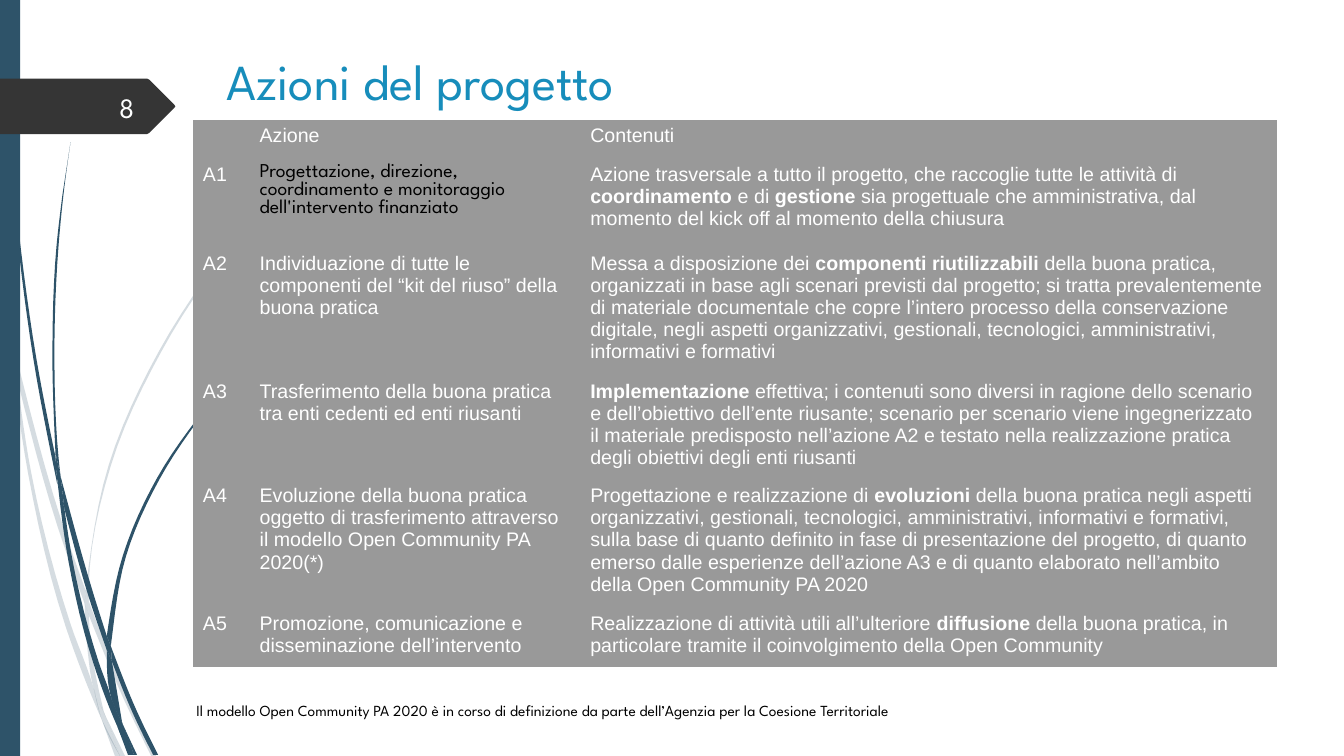
import math

from lxml import etree
from pptx import Presentation
from pptx.dml.color import RGBColor
from pptx.enum.shapes import MSO_SHAPE
from pptx.enum.text import MSO_ANCHOR, PP_ALIGN
from pptx.oxml.ns import qn
from pptx.util import Pt

RECTANGLE = MSO_SHAPE.RECTANGLE
TOP, MIDDLE = MSO_ANCHOR.TOP, MSO_ANCHOR.MIDDLE
LEFT, RIGHT = PP_ALIGN.LEFT, PP_ALIGN.RIGHT
PLAIN_TABLE = "{2D5ABB26-0587-4C30-8999-92F81FD0307C}"

TITLE = "Azioni del progetto"
NUMBER = "8"
FOOTNOTE = ("Il modello Open Community PA 2020 è in corso di definizione da parte "
            "dell’Agenzia per la Coesione Territoriale")

# Code, action and contents; ** marks the limits of bold words.
ACTIONS = [
    ("", "Azione", "Contenuti"),
    ("A1", "Progettazione, direzione, coordinamento e monitoraggio dell'intervento finanziato",
     "Azione trasversale a tutto il progetto, che raccoglie tutte le attività di "
     "**coordinamento** e di **gestione** sia progettuale che amministrativa, dal momento "
     "del kick off al momento della chiusura"),
    ("A2", "Individuazione di tutte le componenti del “kit del riuso” della buona pratica",
     "Messa a disposizione dei **componenti riutilizzabili **della buona pratica, organizzati "
     "in base agli scenari previsti dal progetto; si tratta prevalentemente di materiale "
     "documentale che copre l’intero processo della conservazione digitale, negli aspetti "
     "organizzativi, gestionali, tecnologici, amministrativi, informativi e formativi"),
    ("A3", "Trasferimento della buona pratica tra enti cedenti ed enti riusanti",
     "**Implementazione** effettiva; i contenuti sono diversi in ragione dello scenario e "
     "dell’obiettivo dell’ente riusante; scenario per scenario viene ingegnerizzato il "
     "materiale predisposto nell’azione A2 e testato nella realizzazione pratica degli "
     "obiettivi degli enti riusanti"),
    ("A4", "Evoluzione della buona pratica oggetto di trasferimento attraverso il modello "
     "Open Community PA 2020(*)",
     "Progettazione e realizzazione di **evoluzioni** della buona pratica negli aspetti "
     "organizzativi, gestionali, tecnologici, amministrativi, informativi e formativi, sulla "
     "base di quanto definito in fase di presentazione del progetto, di quanto emerso dalle "
     "esperienze dell’azione A3 e di quanto elaborato nell’ambito della Open Community PA 2020"),
    ("A5", "Promozione, comunicazione e disseminazione dell’intervento",
     "Realizzazione di attività utili all’ulteriore **diffusione** della buona pratica, in "
     "particolare tramite il coinvolgimento della Open Community"),
]
HIGHLIGHTED = ACTIONS[1][1]
COLUMN_WIDTHS = (40.5, 236.2, 497.8)
ROW_HEIGHTS = (27.4, 64.1, 85.7, 69.8, 85.7, 42.5)

THEME = {
    "display": "League Spartan", "body": "Arial",
    "title": "178DBB", "stem": "2E5369", "tag": "353535", "table": "999999",
    "light": "FFFFFF", "number": "FEFFFF", "dark": "000000",
    "title_size": 36, "number_size": 20, "table_size": 14, "note_size": 11,
    "pale_alpha": 20000,
}

# Each blade of grass has two edges, on a grid of GRID points.
GRID = 0.72
PALE_BLADES = [
    ([(17, 376), (57, 522), (84, 599)], [(85, 586), (62, 520), (14, 345)]),
    ([(88, 610), (123, 694), (150, 750)], [(155, 750), (127, 692), (92, 607), (88, 596)]),
    ([(119, 750), (124, 750)], [(105, 711)]),
    ([(11, 350), (28, 470), (65, 621), (92, 693), (101, 714)],
     [(99, 707), (93, 683), (70, 619), (31, 469), (17, 376)]),
    ([(84, 599), (87, 646), (93, 683), (105, 711)], [(103, 706), (91, 646), (88, 610)]),
    ([(85, 586), (108, 461), (158, 348), (228, 244), (268, 197), (312, 153)],
     [(268, 198), (229, 245), (160, 349), (110, 462), (88, 584), (88, 596)]),
    ([(101, 714), (114, 750)], [(119, 750)]),
    ([(88, 610), (88, 596)], [(85, 586), (84, 599)]),
    ([(93, 683), (101, 714), (119, 750)], [(105, 711), (96, 692)]),
]
DARK_BLADES = [
    ([(3, 0), (7, 110), (17, 233), (33, 355), (57, 481)],
     [(55, 453), (36, 355), (19, 232), (8, 109), (4, 0)]),
    ([(64, 505), (88, 592), (106, 645)], [(106, 631), (93, 590), (60, 472)]),
    ([(111, 656), (132, 708), (152, 749)], [(157, 749), (136, 706), (113, 649), (110, 641)]),
    ([(57, 477), (68, 557), (93, 659), (111, 708), (117, 722)],
     [(116, 717), (110, 691), (98, 657), (72, 556), (64, 505)]),
    ([(60, 472), (58, 453), (54, 349), (58, 245), (63, 193), (70, 141)],
     [(62, 193), (56, 245), (52, 349), (55, 449)]),
    ([(133, 749), (136, 749)], [(122, 719)]),
    ([(55, 449), (57, 477), (64, 505)], [(60, 472)]),
    ([(106, 631), (122, 551), (156, 474), (204, 405), (231, 373), (260, 344)],
     [(231, 374), (205, 406), (158, 476), (125, 552), (111, 633), (110, 641)]),
    ([(117, 722), (127, 749)], [(131, 749)]),
    ([(106, 645), (110, 691), (122, 719)], [(121, 716), (111, 656)]),
    ([(106, 645), (111, 656)], [(110, 641), (106, 631)]),
    ([(110, 691), (117, 722), (130, 749)], [(133, 749), (122, 719), (116, 706)]),
]
TAG_OUTLINE = [(0, 78), (146, 78), (148, 79), (173, 104), (174, 105.5), (173, 107),
               (148, 132), (146, 133), (0, 133)]


def smooth(edge, steps=6):
    """Return points on a curve that passes through every point of the edge."""
    if len(edge) < 3:
        return edge
    pairs = list(zip(edge, edge[1:]))
    lengths = [math.dist(a, b) for a, b in pairs]
    chords = [[(b[k] - a[k]) / length for k in (0, 1)] for (a, b), length in zip(pairs, lengths)]
    slopes = [[(c[k] * n + d[k] * m) / (m + n) for k in (0, 1)]
              for c, d, m, n in zip(chords, chords[1:], lengths, lengths[1:])]
    first, final = ([1.5 * chords[i][k] - 0.5 * slopes[i][k] for k in (0, 1)] for i in (0, -1))
    slopes = [first, *slopes, final]
    curve = []
    for i, ((a, b), length) in enumerate(zip(pairs, lengths)):
        for t in (step / steps for step in range(steps)):
            ease = t * t * (3 - 2 * t)
            lead, trail = t * (1 - t) ** 2 * length, t * t * (t - 1) * length
            curve.append([a[k] + (b[k] - a[k]) * ease
                          + slopes[i][k] * lead + slopes[i + 1][k] * trail for k in (0, 1)])
    return curve + [edge[-1]]


def paint(shape, color, alpha=None):
    shape.shadow.inherit = False
    shape.fill.solid()
    shape.fill.fore_color.rgb = RGBColor.from_string(color)
    shape.line.fill.background()
    if alpha:
        for rgb in shape.element.iter(qn("a:srgbClr")):
            etree.SubElement(rgb, qn("a:alpha"), val=str(alpha))


def add_outline(slide, outline, color, alpha=None):
    points = [(Pt(x * GRID), Pt(y * GRID)) for x, y in outline]
    builder = slide.shapes.build_freeform(*points[0])
    builder.add_line_segments(points[1:], close=True)
    paint(builder.convert_to_shape(), color, alpha)


def add_run(paragraph, text, size, font, color, bold=False):
    run = paragraph.add_run()
    run.text = text
    run.font.size, run.font.name, run.font.bold = Pt(size), font, bold
    run.font.color.rgb = RGBColor.from_string(color)


def add_label(slide, box, text, size, color, anchor=TOP, align=LEFT, wrap=True):
    frame = slide.shapes.add_textbox(*map(Pt, box)).text_frame
    frame.word_wrap, frame.vertical_anchor = wrap, anchor
    frame.paragraphs[0].alignment = align
    add_run(frame.paragraphs[0], text, size, THEME["display"], color)


def fill_cell(cell, text):
    cell.fill.solid()
    cell.fill.fore_color.rgb = RGBColor.from_string(THEME["table"])
    font, color = ((THEME["display"], THEME["dark"]) if text == HIGHLIGHTED
                   else (THEME["body"], THEME["light"]))
    paragraph, size = cell.text_frame.paragraphs[0], THEME["table_size"]
    for i, part in enumerate(text.split("**")):
        if part:
            add_run(paragraph, part, size, font, color, bold=i % 2 == 1)
    # The paragraph end keeps the row from growing to the default type size.
    ending = etree.SubElement(paragraph._p, qn("a:endParaRPr"), sz=str(size * 100))
    etree.SubElement(ending, qn("a:latin"), typeface=font)


def add_actions(slide):
    frame = slide.shapes.add_table(len(ACTIONS), len(COLUMN_WIDTHS), Pt(137.8), Pt(85.7),
                                   Pt(sum(COLUMN_WIDTHS)), Pt(sum(ROW_HEIGHTS)))
    table = frame.table
    table.first_row = table.horz_banding = False
    for style in frame.element.iter(qn("a:tableStyleId")):
        style.text = PLAIN_TABLE
    for column, width in zip(table.columns, COLUMN_WIDTHS):
        column.width = Pt(width)
    for row, height, texts in zip(table.rows, ROW_HEIGHTS, ACTIONS):
        row.height = Pt(height)
        for cell, text in zip(row.cells, texts):
            fill_cell(cell, text)


def main():
    deck = Presentation()
    deck.slide_width, deck.slide_height = Pt(960), Pt(540)
    slide = deck.slides.add_slide(deck.slide_layouts[6])
    for blades, alpha in ((PALE_BLADES, THEME["pale_alpha"]), (DARK_BLADES, None)):
        for rising, falling in blades:
            add_outline(slide, smooth(rising) + smooth(falling), THEME["stem"], alpha)
    paint(slide.shapes.add_shape(RECTANGLE, 0, 0, Pt(14.4), Pt(540)), THEME["stem"])
    add_outline(slide, TAG_OUTLINE, THEME["tag"])
    add_label(slide, (154.8, 32.4, 776.9, 73.4), TITLE, THEME["title_size"], THEME["title"])
    add_actions(slide)
    add_label(slide, (133.2, 497.3, 607.7, 20.9), FOOTNOTE, THEME["note_size"],
              THEME["dark"], wrap=False)
    add_label(slide, (41.8, 61.9, 61.2, 28.8), NUMBER, THEME["number_size"],
              THEME["number"], MIDDLE, RIGHT)
    deck.save("out.pptx")


if __name__ == "__main__":
    main()
